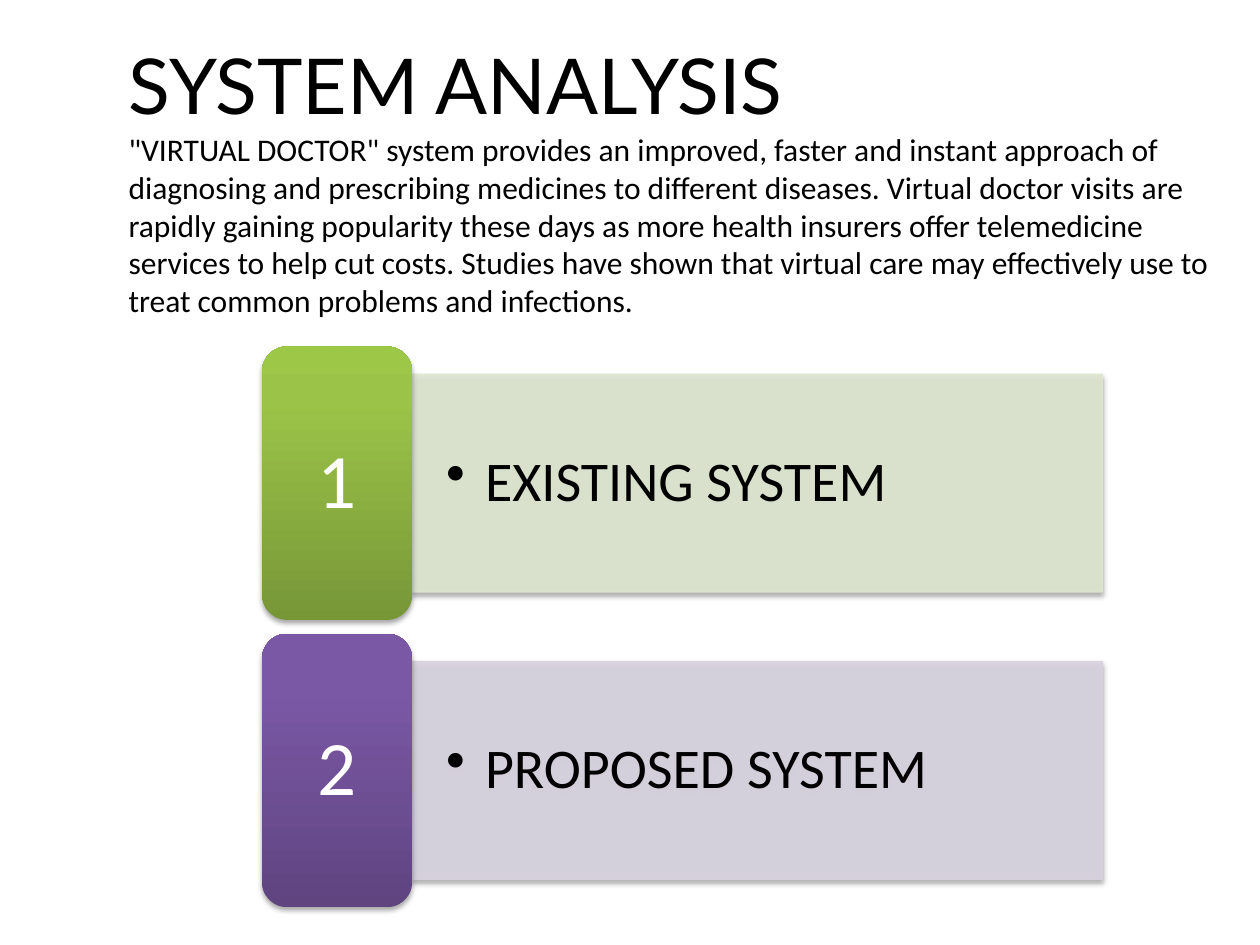
from lxml.etree import SubElement
from pptx import Presentation
from pptx.dml.color import RGBColor
from pptx.enum.shapes import MSO_SHAPE
from pptx.enum.text import MSO_ANCHOR, MSO_AUTO_SIZE, PP_ALIGN
from pptx.oxml.ns import qn
from pptx.util import Inches, Pt

HEADING = "SYSTEM ANALYSIS"
SUMMARY = (
    '"VIRTUAL DOCTOR" system provides an improved, faster and instant approach of '
    "diagnosing and prescribing medicines to different diseases. Virtual doctor visits are "
    "rapidly gaining popularity these days as more health insurers offer telemedicine "
    "services to help cut costs. Studies have shown that virtual care may effectively use "
    "to treat common problems and infections."
)
SYSTEMS = [
    ("1", "EXISTING SYSTEM", "DEE7D1", [(0, "779737"), (80, "9BC348"), (100, "9DC746")]),
    ("2", "PROPOSED SYSTEM", "D8D3E0", [(0, "5F4480"), (80, "7B58A6"), (100, "7C57A8")]),
]
TAB_LEFT, TAB_TOP, TAB_WIDTH, TAB_HEIGHT = 2.08, 2.75, 1.19, 2.17
BAR_WIDTH, BAR_HEIGHT = 5.48, 1.73
ROW_STEP = 2.28


def rgb(color):
    return RGBColor.from_string(color)


def style(span, font, size, color):
    span.font.name = font
    span.font.size = Pt(size)
    span.font.color.rgb = rgb(color)


def add_color(parent, color, alpha):
    node = SubElement(parent, qn("a:srgbClr"), val=color)
    SubElement(node, qn("a:alpha"), val=str(alpha * 1000))


def add_shadow(shape):
    shape.shadow.inherit = False
    effects = shape._element.spPr.find(qn("a:effectLst"))
    shadow = SubElement(effects, qn("a:outerShdw"), blurRad=str(Pt(3.1)),
                        dist=str(Pt(1.8)), dir="5400000", rotWithShape="0")
    add_color(shadow, "000000", 35)


def add_block(page, kind, left, top, width, height, text, size, color, margins):
    shape = page.shapes.add_shape(kind, Inches(left), Inches(top), Inches(width), Inches(height))
    add_shadow(shape)
    frame = shape.text_frame
    frame.word_wrap = True
    frame.vertical_anchor = MSO_ANCHOR.MIDDLE
    frame.margin_left = frame.margin_right = Inches(margins[0])
    frame.margin_top = frame.margin_bottom = Inches(margins[1])
    frame.text = text
    para = frame.paragraphs[0]
    para.line_spacing = 0.9
    style(para.runs[0], "Calibri", size, color)
    return shape, para


def add_bar(page, top, text, color):
    bar, para = add_block(page, MSO_SHAPE.RECTANGLE, TAB_LEFT + TAB_WIDTH,
                          top + (TAB_HEIGHT - BAR_HEIGHT) / 2, BAR_WIDTH, BAR_HEIGHT,
                          text, 32, "000000", (0.27, 0.14))
    bar.fill.solid()
    bar.fill.fore_color.rgb = rgb(color)
    bar.line.color.rgb = rgb(color)
    bar.line.width = Pt(0.75)
    for fill in bar._element.spPr.iter(qn("a:solidFill")):
        SubElement(fill[0], qn("a:alpha"), val="90000")
    para.alignment = PP_ALIGN.LEFT
    properties = para._p.get_or_add_pPr()
    properties.set("marL", str(Inches(0.31)))
    properties.set("indent", str(Inches(-0.31)))
    SubElement(properties, qn("a:buChar"), char="•")


def add_tab(page, top, number, stops):
    tab, para = add_block(page, MSO_SHAPE.ROUNDED_RECTANGLE, TAB_LEFT, top, TAB_WIDTH,
                          TAB_HEIGHT, number, 44, "FFFFFF", (0.24, 0.15))
    para.alignment = PP_ALIGN.CENTER
    tab.line.fill.background()
    tab.fill.gradient()
    tab.fill.gradient_angle = 90
    stop_list = tab._element.spPr.find(".//" + qn("a:gsLst"))
    for stop in list(stop_list):
        stop_list.remove(stop)
    for position, color in stops:
        stop = SubElement(stop_list, qn("a:gs"), pos=str(position * 1000))
        add_color(stop, color, 100)


def add_title(page):
    title = page.shapes.title
    title.left, title.top = Inches(0.92), Inches(0.08)
    title.width, title.height = Inches(8.83), Inches(2.67)
    frame = title.text_frame
    frame.auto_size = MSO_AUTO_SIZE.NONE
    frame.word_wrap = True
    frame.vertical_anchor = MSO_ANCHOR.MIDDLE
    para = frame.paragraphs[0]
    para.text = HEADING + "\v" + SUMMARY
    para.alignment = PP_ALIGN.LEFT
    heading, summary = para.runs
    style(heading, "Lato", 44, "000000")
    style(summary, "Calibri", 18, "000000")


def main():
    deck = Presentation()
    deck.slide_width, deck.slide_height = Inches(10), Inches(7.5)
    page = deck.slides.add_slide(deck.slide_layouts[5])
    add_title(page)
    for row, (number, name, bar_color, tab_stops) in enumerate(SYSTEMS):
        top = TAB_TOP + row * ROW_STEP
        add_bar(page, top, name, bar_color)
        add_tab(page, top, number, tab_stops)
    deck.save("out.pptx")


if __name__ == "__main__":
    main()
